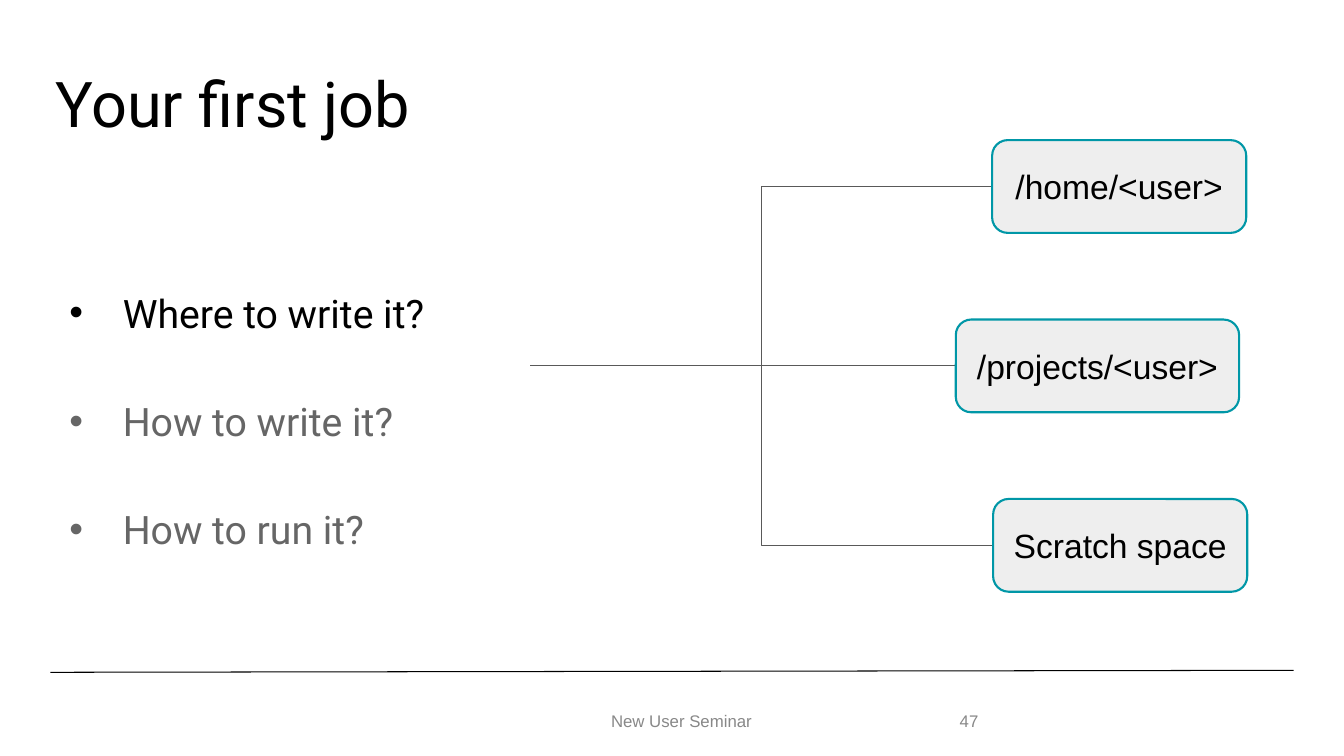
from dataclasses import dataclass

from lxml.etree import SubElement
from pptx import Presentation
from pptx.dml.color import RGBColor
from pptx.enum.shapes import MSO_CONNECTOR as Link, MSO_SHAPE as Preset
from pptx.enum.text import MSO_ANCHOR as Anchor, PP_ALIGN as Align
from pptx.oxml.ns import qn
from pptx.slide import Slide
from pptx.text.text import TextFrame, _Paragraph as Paragraph
from pptx.util import Inches, Pt

COLORS = {
    "text": "000000",
    "muted": "666666",
    "footer": "888888",
    "branch": "595959",
    "box_fill": "EEEEEE",
    "box_line": "0097A7",
}
BOX_HEIGHT = 0.92
BRANCH_START = 5.26


@dataclass
class Question:
    text: str
    color: str


@dataclass
class Location:
    text: str
    left: float
    top: float
    width: float
    link: Link

    @property
    def middle(self) -> float:
        return self.top + BOX_HEIGHT / 2


@dataclass
class FooterItem:
    text: str
    left: float
    width: float
    align: Align


QUESTIONS = [
    Question("Where to write it?", "text"),
    Question("How to write it?", "muted"),
    Question("How to run it?", "muted"),
]
HOME = Location("/home/<user>", 9.84, 1.39, 2.52, Link.ELBOW)
PROJECTS = Location("/projects/<user>", 9.48, 3.17, 2.81, Link.STRAIGHT)
SCRATCH = Location("Scratch space", 9.85, 4.95, 2.52, Link.ELBOW)
LOCATIONS = [PROJECTS, HOME, SCRATCH]
FOOTER = [
    FooterItem("New User Seminar", 4.51, 4.5, Align.CENTER),
    FooterItem("47", 9.42, 0.75, Align.LEFT),
]


def rgb(name: str) -> RGBColor:
    return RGBColor.from_string(COLORS[name])


def style(para: Paragraph, font: str, size: float, color: str) -> None:
    para.font.name = font
    para.font.size = Pt(size)
    para.font.color.rgb = rgb(color)


def set_frame(frame: TextFrame, anchor: Anchor, side: float = 0.1, edge: float = 0.05) -> None:
    frame.word_wrap = True
    frame.vertical_anchor = anchor
    frame.margin_left = frame.margin_right = Inches(side)
    frame.margin_top = frame.margin_bottom = Inches(edge)


def add_bullet(para: Paragraph, color: str) -> None:
    """Give the paragraph a coloured round bullet with a hanging indent."""
    properties = para._p.get_or_add_pPr()
    properties.set("marL", str(Inches(0.67)))
    properties.set("indent", str(Inches(-0.53)))
    bullet_color = SubElement(properties, qn("a:buClr"))
    SubElement(bullet_color, qn("a:srgbClr"), val=COLORS[color])
    SubElement(properties, qn("a:buFont"), typeface="Arial")
    SubElement(properties, qn("a:buChar"), char="•")


def add_line(slide: Slide, link: Link, start: tuple[float, float],
             end: tuple[float, float], color: str) -> None:
    points = [Inches(value) for value in (*start, *end)]
    line = slide.shapes.add_connector(link, *points)
    line.line.color.rgb = rgb(color)
    line.line.width = Pt(0.75)
    SubElement(line._element.spPr, qn("a:effectLst"))


def add_title(slide: Slide, text: str) -> None:
    title = slide.shapes.title
    title.left, title.top = Inches(0.45), Inches(0.65)
    title.width, title.height = Inches(12.42), Inches(0.83)
    set_frame(title.text_frame, Anchor.MIDDLE)
    para = title.text_frame.paragraphs[0]
    para.text = text
    para.alignment = Align.LEFT
    para.line_spacing = 0.9
    style(para, "Roboto", 45, "text")


def add_questions(slide: Slide) -> None:
    box = slide.shapes.add_textbox(Inches(0.45), Inches(2.35), Inches(5.13), Inches(3.89))
    frame = box.text_frame
    set_frame(frame, Anchor.TOP)
    for index, question in enumerate(QUESTIONS):
        para = frame.add_paragraph() if index else frame.paragraphs[0]
        para.text = question.text
        add_bullet(para, question.color)
        para.line_spacing = 2.0
        para.space_before = Pt(10 if index else 0)
        style(para, "Roboto", 28, question.color)


def add_location(slide: Slide, location: Location) -> None:
    box = slide.shapes.add_shape(
        Preset.ROUNDED_RECTANGLE, Inches(location.left), Inches(location.top),
        Inches(location.width), Inches(BOX_HEIGHT))
    box.shadow.inherit = False
    box.fill.solid()
    box.fill.fore_color.rgb = rgb("box_fill")
    box.line.color.rgb = rgb("box_line")
    box.line.width = Pt(1.5)
    set_frame(box.text_frame, Anchor.MIDDLE, 0.13, 0.13)
    para = box.text_frame.paragraphs[0]
    para.text = location.text
    para.alignment = Align.CENTER
    style(para, "Arial", 24, "text")


def add_footer_item(slide: Slide, item: FooterItem) -> None:
    box = slide.shapes.add_textbox(
        Inches(item.left), Inches(6.95), Inches(item.width), Inches(0.4))
    set_frame(box.text_frame, Anchor.MIDDLE)
    para = box.text_frame.paragraphs[0]
    para.text = item.text
    para.alignment = item.align
    style(para, "Arial", 12, "footer")


def main() -> None:
    deck = Presentation()
    deck.slide_width, deck.slide_height = Inches(13.33), Inches(7.5)
    slide = deck.slides.add_slide(deck.slide_layouts[5])

    add_line(slide, Link.STRAIGHT, (0.5, 6.67), (12.83, 6.65), "text")
    add_title(slide, "Your first job")
    add_questions(slide)
    for item in FOOTER:
        add_footer_item(slide, item)
    for location in LOCATIONS:
        add_line(slide, location.link, (BRANCH_START, PROJECTS.middle),
                 (location.left, location.middle), "branch")
    for location in LOCATIONS:
        add_location(slide, location)

    deck.save("out.pptx")


if __name__ == "__main__":
    main()
